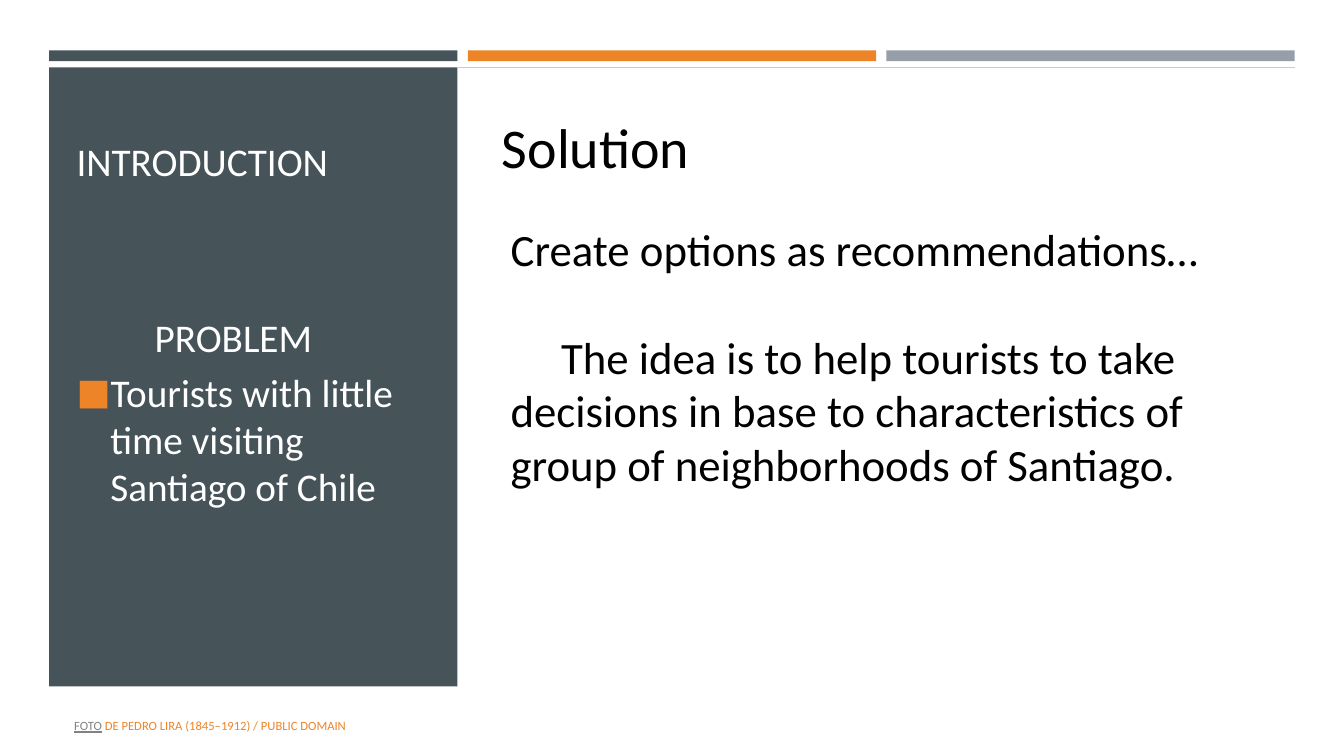
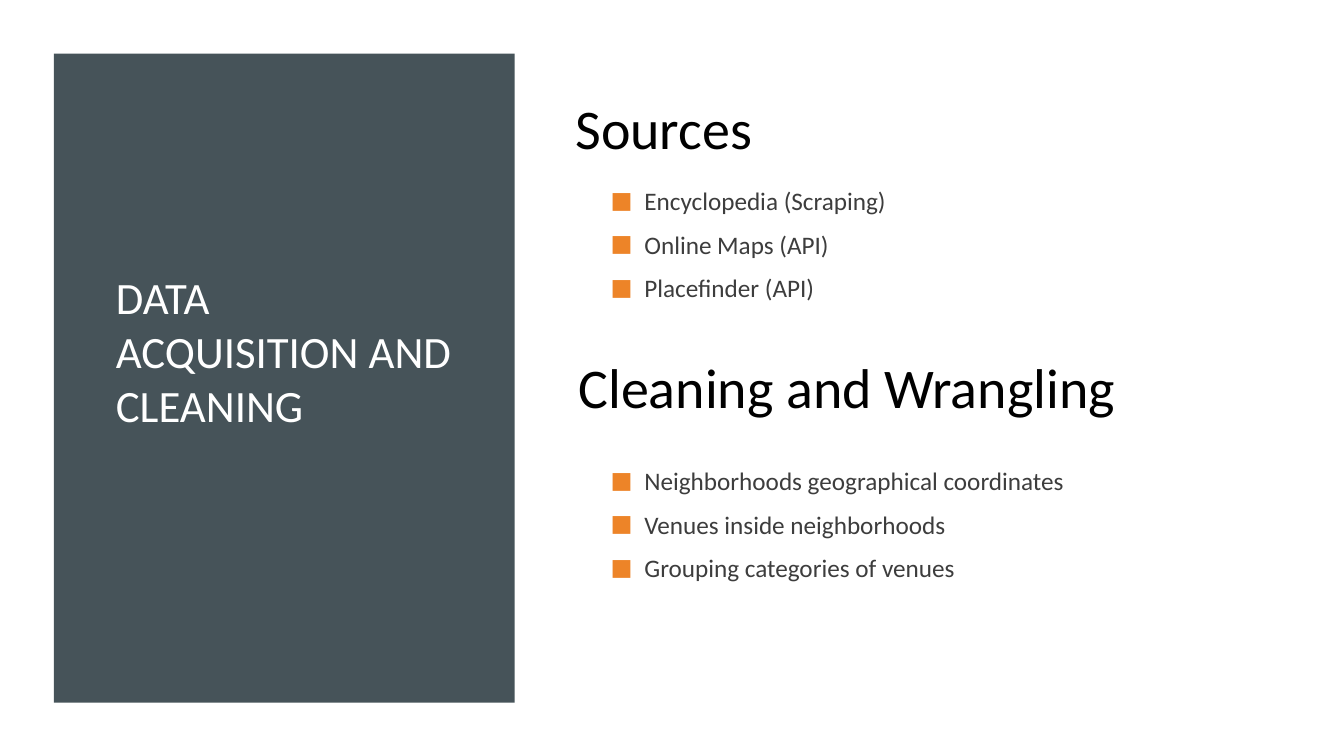
import pptx
import pptx.dml.color
import pptx.enum.shapes
import pptx.enum.text
import pptx.oxml.ns
import pptx.util
import lxml.etree
from dataclasses import dataclass
from pptx.util import Cm


@dataclass(frozen=True)
class Theme:
    font: str = "Calibri"
    slate: str = "465359"
    orange: str = "ED8428"
    grey: str = "969FA7"
    rule: str = "C8CBCD"
    white: str = "FFFFFF"
    black: str = "000000"
    body: str = "3D3D3D"
    link: str = "828282"
    heading_size: int = 40
    large_size: int = 32
    panel_size: int = 28
    list_size: int = 18
    credit_size: int = 9


theme = Theme()
middle = pptx.enum.text.MSO_ANCHOR.MIDDLE
bottom = pptx.enum.text.MSO_ANCHOR.BOTTOM


def add_block(slide, left, top, width, height, color):
    shape = slide.shapes.add_shape(
        pptx.enum.shapes.MSO_SHAPE.RECTANGLE, Cm(left), Cm(top), Cm(width), Cm(height)
    )
    shape.shadow.inherit = False
    shape.fill.solid()
    shape.fill.fore_color.rgb = pptx.dml.color.RGBColor.from_string(color)
    shape.line.fill.background()


def add_text(slide, left, top, width, height, paragraphs, size, color,
             anchor=pptx.enum.text.MSO_ANCHOR.TOP, bulleted=False):
    box = slide.shapes.add_textbox(Cm(left), Cm(top), Cm(width), Cm(height))
    frame = box.text_frame
    frame.word_wrap = True
    frame.vertical_anchor = anchor
    for index, runs in enumerate(paragraphs):
        paragraph = frame.paragraphs[0] if index == 0 else frame.add_paragraph()
        for text, run_color, underlined in runs if isinstance(runs, list) else [(runs, color, False)]:
            run = paragraph.add_run()
            run.text = text
            run.font.name = theme.font
            run.font.size = pptx.util.Pt(size)
            run.font.color.rgb = pptx.dml.color.RGBColor.from_string(run_color)
            run.font.underline = underlined
        if bulleted:
            paragraph.space_before = pptx.util.Pt(size * 0.2)
            paragraph.space_after = pptx.util.Pt(6)
            properties = paragraph._p.get_or_add_pPr()
            properties.set("marL", str(Cm(0.85)))
            properties.set("indent", str(-Cm(0.85)))
            bullet_color = lxml.etree.SubElement(properties, pptx.oxml.ns.qn("a:buClr"))
            lxml.etree.SubElement(bullet_color, pptx.oxml.ns.qn("a:srgbClr"), val=theme.orange)
            lxml.etree.SubElement(properties, pptx.oxml.ns.qn("a:buSzPct"), val="92000")
            lxml.etree.SubElement(properties, pptx.oxml.ns.qn("a:buFont"), typeface=theme.font)
            lxml.etree.SubElement(properties, pptx.oxml.ns.qn("a:buChar"), char="■")
    return frame


presentation = pptx.Presentation()
presentation.slide_width = Cm(33.87)
presentation.slide_height = Cm(19.05)
blank_layout = presentation.slide_layouts[6]
introduction, acquisition = [presentation.slides.add_slide(blank_layout) for _ in range(2)]
for slide in (introduction, acquisition):
    slide.background.fill.solid()
    slide.background.fill.fore_color.rgb = pptx.dml.color.RGBColor.from_string(theme.white)

bar_left, bar_width, bar_gap = 1.24, 10.29, 0.26
for index, color in enumerate((theme.slate, theme.orange, theme.grey)):
    add_block(introduction, bar_left + index * (bar_width + bar_gap), 1.27, bar_width, 0.27, color)

rule = introduction.shapes.add_connector(
    pptx.enum.shapes.MSO_CONNECTOR.STRAIGHT, Cm(bar_left + bar_width), Cm(1.7), Cm(32.63), Cm(1.7)
)
rule.line.color.rgb = pptx.dml.color.RGBColor.from_string(theme.rule)
rule.line.width = pptx.util.Pt(0.5)
lxml.etree.SubElement(rule._element.spPr, pptx.oxml.ns.qn("a:effectLst"))

add_block(introduction, bar_left, 1.7, bar_width, 15.6, theme.slate)
add_text(introduction, 1.68, 1.96, 9.47, 2.82, ["INTRODUCTION"],
         theme.panel_size, theme.white, bottom)
add_text(introduction, 3.65, 7.77, 6.38, 1.45, ["PROBLEM"], theme.panel_size, theme.white)
add_text(introduction, 1.68, 5.46, 9.47, 11.2,
         ["Tourists with little time visiting Santiago of Chile"],
         theme.panel_size, theme.white, middle, bulleted=True)
add_text(introduction, 12.4, 2.72, 10.41, 1.96, ["Solution"], theme.heading_size, theme.black)

solution = add_text(introduction, 12.62, 5.46, 19.43, 7.09, [
    "Create options as recommendations…",
    "The idea is to help tourists to take decisions in base to characteristics of "
    "group of neighborhoods of Santiago.",
], theme.large_size, theme.black)
idea = solution.paragraphs[1]
idea.space_before = pptx.util.Pt(38.5)
idea._p.get_or_add_pPr().set("indent", str(Cm(1.27)))

add_text(introduction, 1.62, 17.78, 19.2, 1.02, [[
    ("FOTO", theme.link, True),
    (" DE PEDRO LIRA (1845–1912) / PUBLIC DOMAIN", theme.orange, False),
]], theme.credit_size, theme.orange, middle)

add_block(acquisition, 1.36, 1.35, 11.61, 16.36, theme.slate)
add_text(acquisition, 2.67, 2.41, 9.05, 12.85, ["DATA ACQUISITION AND CLEANING"],
         theme.large_size, theme.white, middle)

sections = (
    ("Sources", 14.25, 2.24, 4.04, 4.22,
     ["Encyclopedia (Scraping)", "Online Maps (API)", "Placefinder (API)"]),
    ("Cleaning and Wrangling", 14.33, 8.76, 10.87, 4.67,
     ["Neighborhoods geographical coordinates", "Venues inside neighborhoods",
      "Grouping categories of venues"]),
)
for heading, heading_left, heading_top, list_top, list_height, items in sections:
    add_text(acquisition, heading_left, heading_top, 14.4, 1.96, [heading],
             theme.heading_size, theme.black)
    add_text(acquisition, 15.14, list_top, 16.97, list_height, items,
             theme.list_size, theme.body, middle, bulleted=True)

presentation.save("out.pptx")
